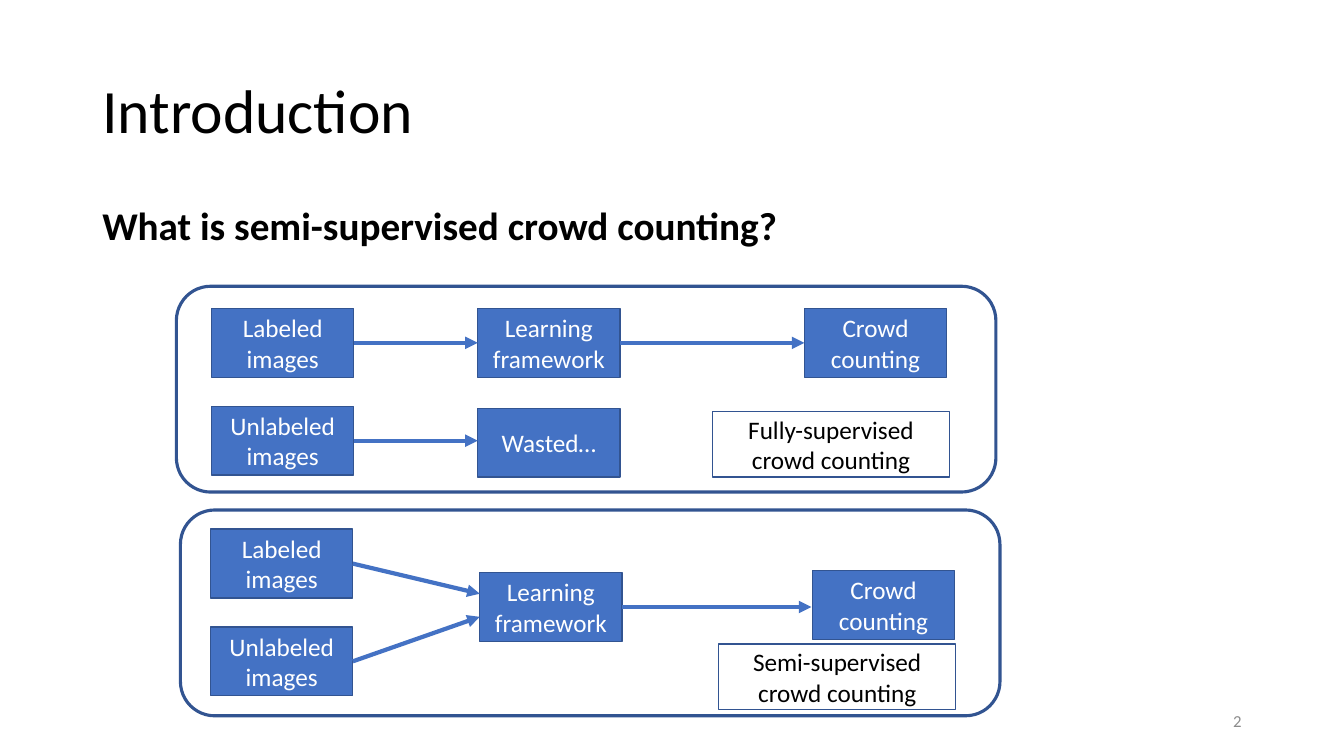
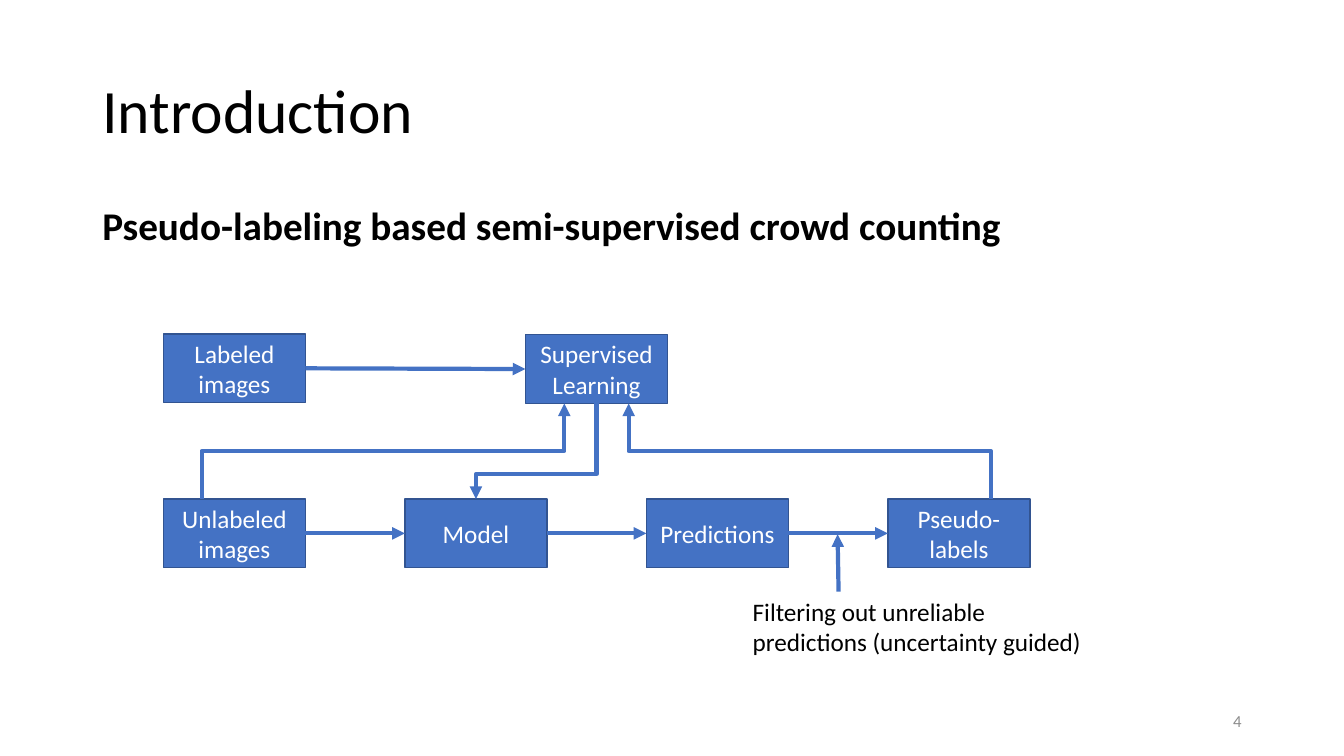
import lxml.etree
import pptx
import pptx.dml.color
import pptx.enum.shapes
import pptx.enum.text
import pptx.oxml.ns
import pptx.util

Pt = pptx.util.Pt
RGBColor = pptx.dml.color.RGBColor
SHAPE = pptx.enum.shapes.MSO_SHAPE
CONNECTOR = pptx.enum.shapes.MSO_CONNECTOR
ANCHOR = pptx.enum.text.MSO_ANCHOR
ALIGN = pptx.enum.text.PP_ALIGN
qn = pptx.oxml.ns.qn

# Shared style
FONT = "Calibri"
BLACK = RGBColor(0x00, 0x00, 0x00)
WHITE = RGBColor(0xFF, 0xFF, 0xFF)
GRAY = RGBColor(0x8C, 0x8C, 0x8C)
BLUE = RGBColor(0x44, 0x72, 0xC4)
DARK_BLUE = RGBColor(0x32, 0x54, 0x91)
BOX_WIDTH, BOX_HEIGHT = 101.5, 49.2
TOP, LEFT, BOTTOM, RIGHT = range(4)


def write(box, text, size, color, bold=False, align=ALIGN.LEFT,
          anchor=ANCHOR.TOP, line_spacing=1.0):
    """Put one styled paragraph into a box."""
    frame = box.text_frame
    frame.word_wrap = True
    frame.vertical_anchor = anchor
    frame.text = text
    paragraph = frame.paragraphs[0]
    paragraph.alignment = align
    paragraph.line_spacing = line_spacing
    font = paragraph.runs[0].font
    font.name, font.size, font.bold = FONT, Pt(size), bold
    font.color.rgb = color


def add_text(page, text, left, top, width, height, size, color=BLACK, **style):
    box = page.shapes.add_textbox(Pt(left), Pt(top), Pt(width), Pt(height))
    write(box, text, size, color, **style)


def add_outline(page, kind, left, top, width, height, line_width=1, fill=None):
    """Add a dark blue outlined shape, filled only if a fill is given."""
    shape = page.shapes.add_shape(kind, Pt(left), Pt(top), Pt(width), Pt(height))
    shape.shadow.inherit = False
    if fill is None:
        shape.fill.background()
    else:
        shape.fill.solid()
        shape.fill.fore_color.rgb = fill
    shape.line.color.rgb = DARK_BLUE
    shape.line.width = Pt(line_width)
    return shape


def add_step(page, text, left, top):
    box = add_outline(page, SHAPE.RECTANGLE, left, top, BOX_WIDTH, BOX_HEIGHT, fill=BLUE)
    write(box, text, 18, WHITE, align=ALIGN.CENTER, anchor=ANCHOR.MIDDLE)
    return box


def add_panel(page, caption, left, top, caption_left, caption_top):
    """Add a rounded frame with its caption box."""
    add_outline(page, SHAPE.ROUNDED_RECTANGLE, left, top, 585.4, 147, 2.25)
    box = add_outline(page, SHAPE.RECTANGLE, caption_left, caption_top, 169.2, 46.8)
    write(box, caption, 18, BLACK, align=ALIGN.CENTER, anchor=ANCHOR.MIDDLE)


def style_arrow(connector):
    connector.line.color.rgb = BLUE
    connector.line.width = Pt(3)
    properties = connector.element.spPr
    lxml.etree.SubElement(properties.find(qn("a:ln")), qn("a:tailEnd"), type="triangle")
    lxml.etree.SubElement(properties, qn("a:effectLst"))


def add_arrow(page, start, end):
    connector = page.shapes.add_connector(
        CONNECTOR.STRAIGHT, *[Pt(value) for value in start + end])
    style_arrow(connector)
    return connector


def join(page, source, target=None, end=(0, 0)):
    """Draw an arrow from a box's right side to a box's left side or a point."""
    connector = add_arrow(page, (0, 0), end)
    connector.begin_connect(source, RIGHT)
    if target is not None:
        connector.end_connect(target, LEFT)


def add_elbow(page, start, end, bend=0.5):
    """Draw an arrow that leaves and arrives vertically."""
    (x1, y1), (x2, y2) = start, end
    rightward, upward = x2 > x1, y2 < y1
    width, height = abs(y2 - y1), abs(x2 - x1)
    left, top = (x1 + x2 - width) / 2, (y1 + y2 - height) / 2
    connector = page.shapes.add_connector(
        CONNECTOR.ELBOW, Pt(left), Pt(top), Pt(left + width), Pt(top + height))
    properties = connector.element.spPr
    transform = properties.find(qn("a:xfrm"))
    transform.set("rot", str(60000 * (90 if rightward == upward else 270)))
    transform.set("flipH", str(int(rightward)))
    transform.set("flipV", str(int(upward)))
    guides = properties.find(qn("a:prstGeom")).find(qn("a:avLst"))
    lxml.etree.SubElement(guides, qn("a:gd"), name="adj1", fmla=f"val {round(bend * 100000)}")
    style_arrow(connector)


def add_page(deck, heading, number):
    """Add a slide with the title, heading and page number."""
    page = deck.slides.add_slide(deck.slide_layouts[6])
    add_text(page, "Introduction", 66, 28.8, 828, 104.4, 44,
             anchor=ANCHOR.MIDDLE, line_spacing=0.9)
    add_text(page, heading, 66, 144, 828, 342.7, 28, bold=True, line_spacing=0.9)
    add_text(page, number, 678, 500.5, 216, 28.8, 12, GRAY,
             align=ALIGN.RIGHT, anchor=ANCHOR.MIDDLE)
    return page


def add_definition_page(deck):
    page = add_page(deck, "What is semi-supervised crowd counting?", "2")

    # Fully-supervised flow
    add_panel(page, "Fully-supervised crowd counting", 126, 204.5, 509, 293.8)
    labeled = add_step(page, "Labeled images", 151.2, 220.3)
    unlabeled = add_step(page, "Unlabeled images", 151.2, 290.2)
    framework = add_step(page, "Learning framework", 341.3, 220.3)
    counting = add_step(page, "Crowd counting", 574.6, 220.3)
    add_step(page, "Wasted…", 341.3, 291.6)
    join(page, labeled, framework)
    join(page, framework, counting)
    join(page, unlabeled, end=(341.3, 314.8))

    # Semi-supervised flow
    add_panel(page, "Semi-supervised crowd counting", 128.9, 364.3, 513.4, 460.1)
    labeled = add_step(page, "Labeled images", 150.5, 378)
    unlabeled = add_step(page, "Unlabeled images", 150.5, 447.8)
    framework = add_step(page, "Learning framework", 342.7, 409)
    add_step(page, "Crowd counting", 580.3, 407.5)
    join(page, labeled, end=(342.7, 424.1))
    join(page, unlabeled, end=(342.7, 440.6))
    join(page, framework, end=(579.6, 433.6))


def add_pseudo_label_page(deck):
    page = add_page(deck, "Pseudo-labeling based semi-supervised crowd counting", "4")

    # Upper row
    left, upper, lower, pitch = 116.7, 238.5, 356.4, 172.5
    supervised_left = 375.3
    labeled = add_step(page, "Labeled images", left, upper)
    supervised = add_step(page, "Supervised Learning", supervised_left, upper + 0.5)
    join(page, labeled, supervised)

    # Lower row, evenly spaced
    names = ["Unlabeled images", "Model", "Predictions", "Pseudo-labels"]
    steps = [add_step(page, name, left + i * pitch, lower) for i, name in enumerate(names)]
    for source, target in zip(steps, steps[1:]):
        join(page, source, target)

    # Links between the rows
    center = supervised_left + BOX_WIDTH / 2
    bottom = upper + 0.5 + BOX_HEIGHT
    add_elbow(page, (144, lower), (center - 23, bottom))
    add_elbow(page, (707.8, lower), (center + 23, bottom))
    add_elbow(page, (center, bottom), (left + pitch + BOX_WIDTH / 2, lower), 0.74)

    # Filtering note
    add_text(page, "Filtering out unreliable predictions (uncertainty guided)",
             530.6, 422.6, 259.2, 50.9, 18)
    add_arrow(page, (599, 422.6), (598.3, 381.6))


def main():
    deck = pptx.Presentation()
    deck.slide_width, deck.slide_height = Pt(960), Pt(540)
    add_definition_page(deck)
    add_pseudo_label_page(deck)
    deck.save("out.pptx")


if __name__ == "__main__":
    main()
